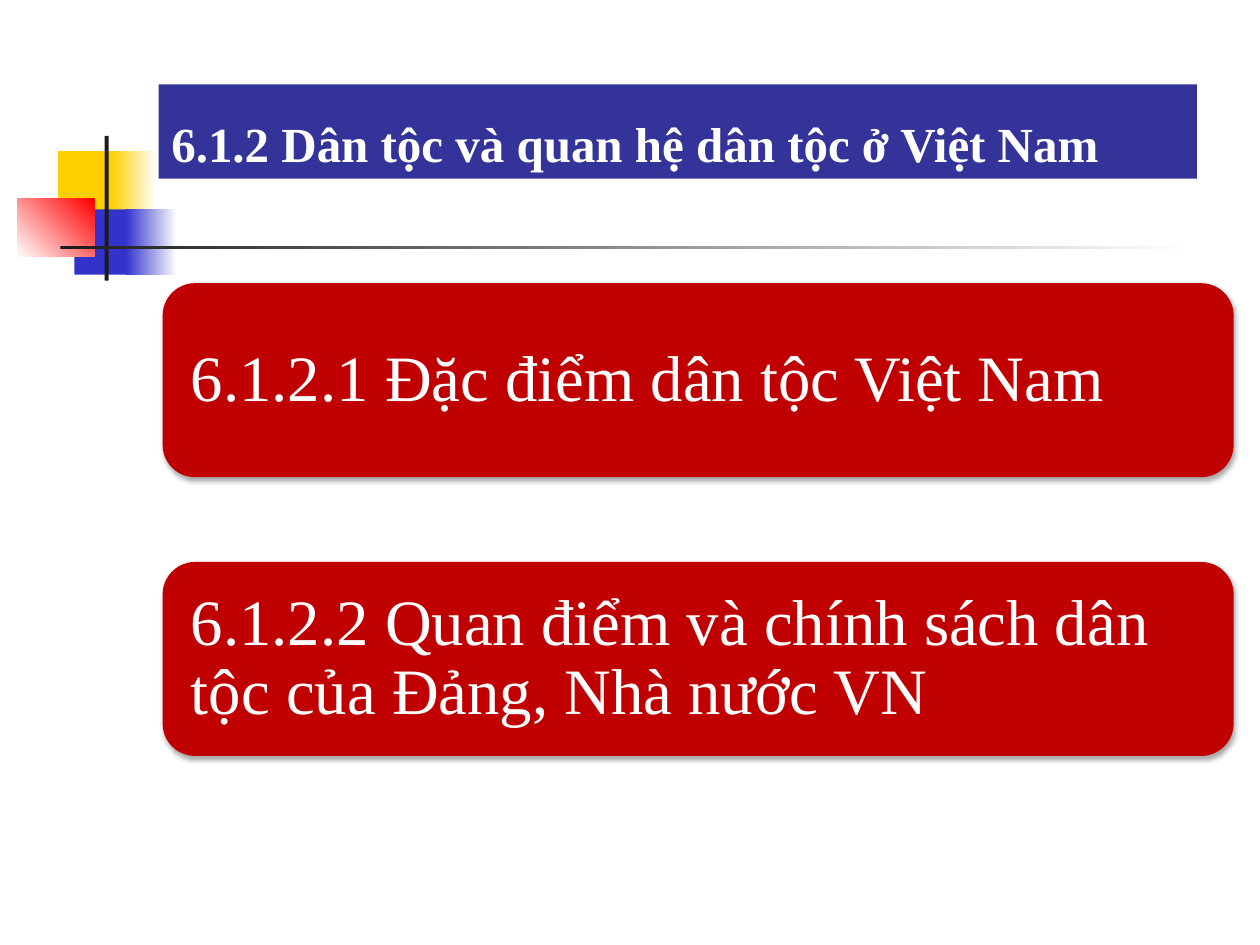
from lxml.etree import SubElement
from pptx import Presentation
from pptx.dml.color import RGBColor
from pptx.enum.shapes import MSO_SHAPE as Kind
from pptx.enum.text import MSO_ANCHOR as Anchor, PP_ALIGN as Align
from pptx.oxml.ns import qn
from pptx.util import Cm, Pt

WHITE = RGBColor(0xFF, 0xFF, 0xFF)
YELLOW = RGBColor(0xFF, 0xCF, 0x01)
BLUE = RGBColor(0x33, 0x33, 0xCC)
RED = RGBColor(0xFF, 0x00, 0x00)
BLACK = RGBColor(0x1C, 0x1C, 0x1C)
NAVY = RGBColor(0x33, 0x33, 0x99)
CRIMSON = RGBColor(0xC0, 0x00, 0x00)


class Deck:
    font = "Times New Roman"

    def __init__(self):
        self.prs = Presentation()
        self.prs.slide_width, self.prs.slide_height = Cm(25.4), Cm(19.05)
        self.slide = self.prs.slides.add_slide(self.prs.slide_layouts[5])

    def shape(self, kind, box):
        item = self.slide.shapes.add_shape(kind, *map(Cm, box))
        item.shadow.inherit = False
        item.line.fill.background()
        return item

    def block(self, box, start, end=None, angle=0):
        """Add a plain rectangle, or one that fades from start to end."""
        fill = self.shape(Kind.RECTANGLE, box).fill
        if end is None:
            fill.solid()
            fill.fore_color.rgb = start
            return
        fill.gradient()
        fill.gradient_angle = angle
        for stop, color in zip(fill.gradient_stops, (start, end)):
            stop.color.rgb = color

    def label(self, item, text, size, bold=False):
        par = item.text_frame.paragraphs[0]
        par.alignment = Align.LEFT
        run = par.add_run()
        run.text = text
        run.font.name, run.font.size = self.font, Pt(size)
        run.font.bold, run.font.color.rgb = bold, WHITE
        return par

    def title(self, box, text):
        item = self.slide.shapes.title
        item.left, item.top, item.width, item.height = map(Cm, box)
        item.fill.solid()
        item.fill.fore_color.rgb = NAVY
        item.text_frame.vertical_anchor = Anchor.BOTTOM
        self.label(item, text, 28, True)

    def shade(self, item):
        """Give a shape a soft shadow straight below it."""
        effects = item._element.spPr.find(qn("a:effectLst"))
        outer = SubElement(effects, qn("a:outerShdw"), blurRad=str(Pt(3.1)),
                           dist=str(Pt(1.8)), dir="5400000", rotWithShape="0")
        color = SubElement(outer, qn("a:srgbClr"), val="000000")
        SubElement(color, qn("a:alpha"), val="35000")

    def card(self, box, text):
        item = self.shape(Kind.ROUNDED_RECTANGLE, box)
        item.fill.solid()
        item.fill.fore_color.rgb = CRIMSON
        self.shade(item)
        frame = item.text_frame
        frame.word_wrap = True
        frame.vertical_anchor = Anchor.MIDDLE
        frame.margin_left = frame.margin_right = Cm(0.38)
        frame.margin_top = frame.margin_bottom = Cm(0.38)
        self.label(item, text, 37).line_spacing = 0.9


def main():
    deck = Deck()
    deck.block((1.17, 3.05, 1.22, 1.32), YELLOW)
    deck.block((2.24, 3.05, 0.91, 1.32), YELLOW, WHITE)
    deck.block((1.5, 4.22, 1.17, 1.32), BLUE)
    deck.block((2.54, 4.22, 1.02, 1.32), BLUE, WHITE)
    deck.block((0.35, 4.01, 1.55, 1.17), WHITE, RED, 45)
    deck.block((2.11, 2.74, 0.08, 2.92), BLACK)
    deck.block((1.22, 4.95, 22.86, 0.08), BLACK, WHITE)

    deck.title((3.2, 1.7, 20.93, 1.9),
               "6.1.2 Dân tộc và quan hệ dân tộc ở Việt Nam")

    topics = ("6.1.2.1 Đặc điểm dân tộc Việt Nam",
              "6.1.2.2 Quan điểm và chính sách dân tộc của Đảng, Nhà nước VN")
    for row, topic in enumerate(topics):
        deck.card((3.28, 5.71 + row * 5.62, 21.59, 3.91), topic)

    deck.prs.save("out.pptx")


if __name__ == "__main__":
    main()
